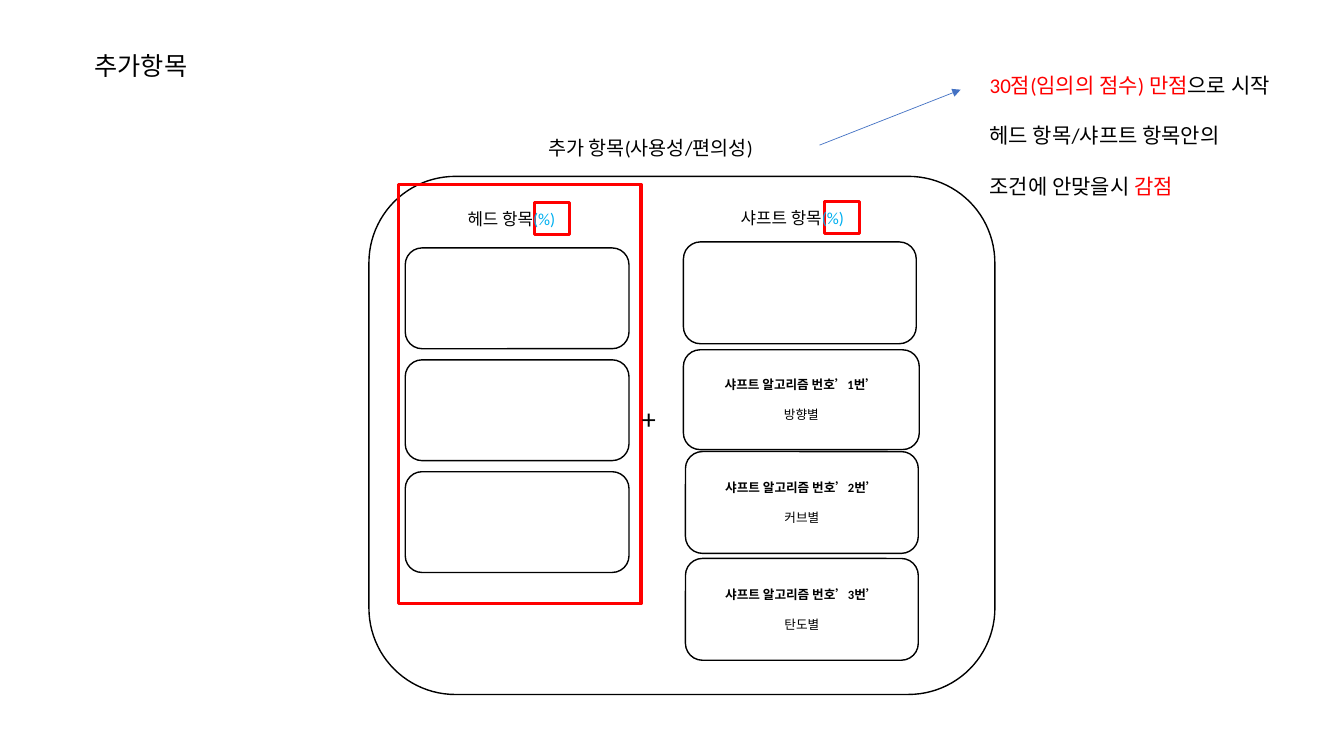
from dataclasses import dataclass

import pptx
import pptx.dml.color
import pptx.enum.dml
import pptx.enum.shapes
import pptx.enum.text
import pptx.oxml
import pptx.oxml.ns
import pptx.util

# The grid has ten columns and ten rows to the inch.
GRID_UNIT = pptx.util.Inches(0.1)
SLIDE_COLUMNS, SLIDE_ROWS = 133.33, 75

ROUNDED = pptx.enum.shapes.MSO_SHAPE.ROUNDED_RECTANGLE
RECTANGLE = pptx.enum.shapes.MSO_SHAPE.RECTANGLE


@dataclass(frozen=True)
class Theme:
    font: str = "Calibri"
    ink: str = "000000"
    paper: str = "FFFFFF"
    red: str = "FF0000"
    percent_blue: str = "00B0F0"
    arrow_blue: str = "4472C4"
    title_size: float = 18
    plus_size: float = 20
    note_size: float = 15
    caption_size: float = 14
    heading_size: float = 12
    card_size: float = 9
    card_gap: float = 11
    outline_width: float = 1
    marker_width: float = 2.25
    arrow_width: float = 0.5


THEME = Theme()


@dataclass(frozen=True)
class Area:
    column: float
    row: float
    columns: float
    rows: float


@dataclass(frozen=True)
class Run:
    text: str
    color: str = THEME.ink
    bold: bool = False


@dataclass(frozen=True)
class Label:
    area: Area
    size: float
    lines: list[list[Run]]
    line_spacing: float = 1


@dataclass(frozen=True)
class Card:
    area: Area
    number: int = 0
    criterion: str = ""


LABELS = [
    Label(Area(8.4, 4.5, 30, 7.1), THEME.title_size, [[Run("추가항목")]]),
    Label(Area(53.4, 13, 30.3, 3.4), THEME.caption_size, [[Run("추가 항목(사용성/편의성)")]]),
    Label(Area(62.7, 39.3, 3.9, 4.5), THEME.plus_size, [[Run("+")]]),
    Label(Area(45.4, 20.2, 12.4, 3.1), THEME.heading_size,
          [[Run("헤드 항목"), Run("(%)", THEME.percent_blue)]]),
    Label(Area(72.5, 20.1, 14.1, 3.1), THEME.heading_size,
          [[Run("샤프트 항목"), Run("(%)", THEME.percent_blue)]]),
    Label(Area(97.2, 4.2, 38.6, 23.7), THEME.note_size,
          [[Run("30점(임의의 점수) 만점", THEME.red), Run("으로 시작")],
           [Run("헤드 항목/샤프트 항목안의")],
           [Run("조건에 안맞을시 "), Run("감점", THEME.red)]],
          line_spacing=2),
]

PANEL = Area(36.6, 17.5, 62.1, 51.4)
HEAD_CARDS = [Card(Area(40.2, 24.6 + 11.1 * index, 22.2, 10)) for index in range(3)]
SHAFT_CARDS = [
    Card(Area(67.8, 24, 23.1, 10.1)),
    Card(Area(67.8, 34.7, 23.4, 9.9), 1, "방향별"),
    Card(Area(68, 44.8, 23.1, 10.1), 2, "커브별"),
    Card(Area(68, 55.4, 23.1, 10.1), 3, "탄도별"),
]
HEAD_MARKER = Area(39.5, 18.3, 24.1, 41.6)
PERCENT_MARKERS = [Area(81.8, 20, 3.5, 3.2), Area(53, 20.1, 3.5, 3.2)]


def grid(count: float) -> pptx.util.Emu:
    """Turn a count of grid columns or rows into a length."""
    return pptx.util.Emu(round(count * GRID_UNIT))


def place(area: Area) -> tuple[pptx.util.Emu, ...]:
    return grid(area.column), grid(area.row), grid(area.columns), grid(area.rows)


def rgb(color: str) -> pptx.dml.color.RGBColor:
    return pptx.dml.color.RGBColor.from_string(color)


def add_run(paragraph, run: Run, size: float) -> None:
    text_run = paragraph.add_run()
    text_run.text = run.text
    text_run.font.name = THEME.font
    text_run.font.size = pptx.util.Pt(size)
    text_run.font.bold = run.bold
    text_run.font.color.rgb = rgb(run.color)


def add_lines(text_frame, lines: list[list[Run]], size: float) -> None:
    for index, runs in enumerate(lines):
        paragraph = text_frame.add_paragraph() if index else text_frame.paragraphs[0]
        for run in runs:
            add_run(paragraph, run, size)


def add_label(slide, label: Label) -> None:
    text_frame = slide.shapes.add_textbox(*place(label.area)).text_frame
    text_frame.word_wrap = True
    text_frame.auto_size = pptx.enum.text.MSO_AUTO_SIZE.SHAPE_TO_FIT_TEXT
    add_lines(text_frame, label.lines, label.size)
    for paragraph in text_frame.paragraphs:
        paragraph.line_spacing = float(label.line_spacing)


def add_panel(slide, area: Area):
    """Add a white rounded box with a thin outline."""
    shape = slide.shapes.add_shape(ROUNDED, *place(area))
    shape.shadow.inherit = False
    shape.fill.solid()
    shape.fill.fore_color.rgb = rgb(THEME.paper)
    shape.line.color.rgb = rgb(THEME.ink)
    shape.line.width = pptx.util.Pt(THEME.outline_width)
    return shape


def add_card(slide, card: Card) -> None:
    text_frame = add_panel(slide, card.area).text_frame
    if not card.criterion:
        return
    text_frame.vertical_anchor = pptx.enum.text.MSO_ANCHOR.MIDDLE
    name = Run(f"샤프트 알고리즘 번호’{card.number}번’", bold=True)
    add_lines(text_frame, [[name], [Run(card.criterion)]], THEME.card_size)
    for paragraph in text_frame.paragraphs:
        paragraph.alignment = pptx.enum.text.PP_ALIGN.CENTER
    text_frame.paragraphs[1].space_before = pptx.util.Pt(THEME.card_gap)


def add_marker(slide, area: Area) -> None:
    """Add a red frame without a fill."""
    shape = slide.shapes.add_shape(RECTANGLE, *place(area))
    shape.shadow.inherit = False
    shape.fill.background()
    shape.line.color.rgb = rgb(THEME.red)
    shape.line.width = pptx.util.Pt(THEME.marker_width)


def add_arrow(slide, start: tuple[float, float], end: tuple[float, float]) -> None:
    arrow = slide.shapes.add_connector(
        pptx.enum.shapes.MSO_CONNECTOR.STRAIGHT, *map(grid, start + end))
    arrow.line.color.rgb = rgb(THEME.arrow_blue)
    arrow.line.width = pptx.util.Pt(THEME.arrow_width)
    properties = arrow.element.spPr
    tail = pptx.oxml.parse_xml(
        f'<a:tailEnd {pptx.oxml.ns.nsdecls("a")} type="triangle"/>')
    properties.find(pptx.oxml.ns.qn("a:ln")).append(tail)
    properties.append(pptx.oxml.parse_xml(f'<a:effectLst {pptx.oxml.ns.nsdecls("a")}/>'))


def main() -> None:
    presentation = pptx.Presentation()
    presentation.slide_width = grid(SLIDE_COLUMNS)
    presentation.slide_height = grid(SLIDE_ROWS)
    slide = presentation.slides.add_slide(presentation.slide_layouts[6])
    add_panel(slide, PANEL)
    for card in HEAD_CARDS + SHAFT_CARDS:
        add_card(slide, card)
    for marker in [HEAD_MARKER, *PERCENT_MARKERS]:
        add_marker(slide, marker)
    for label in LABELS:
        add_label(slide, label)
    add_arrow(slide, (81.3, 14.4), (95.3, 8.9))
    presentation.save("out.pptx")


if __name__ == "__main__":
    main()
